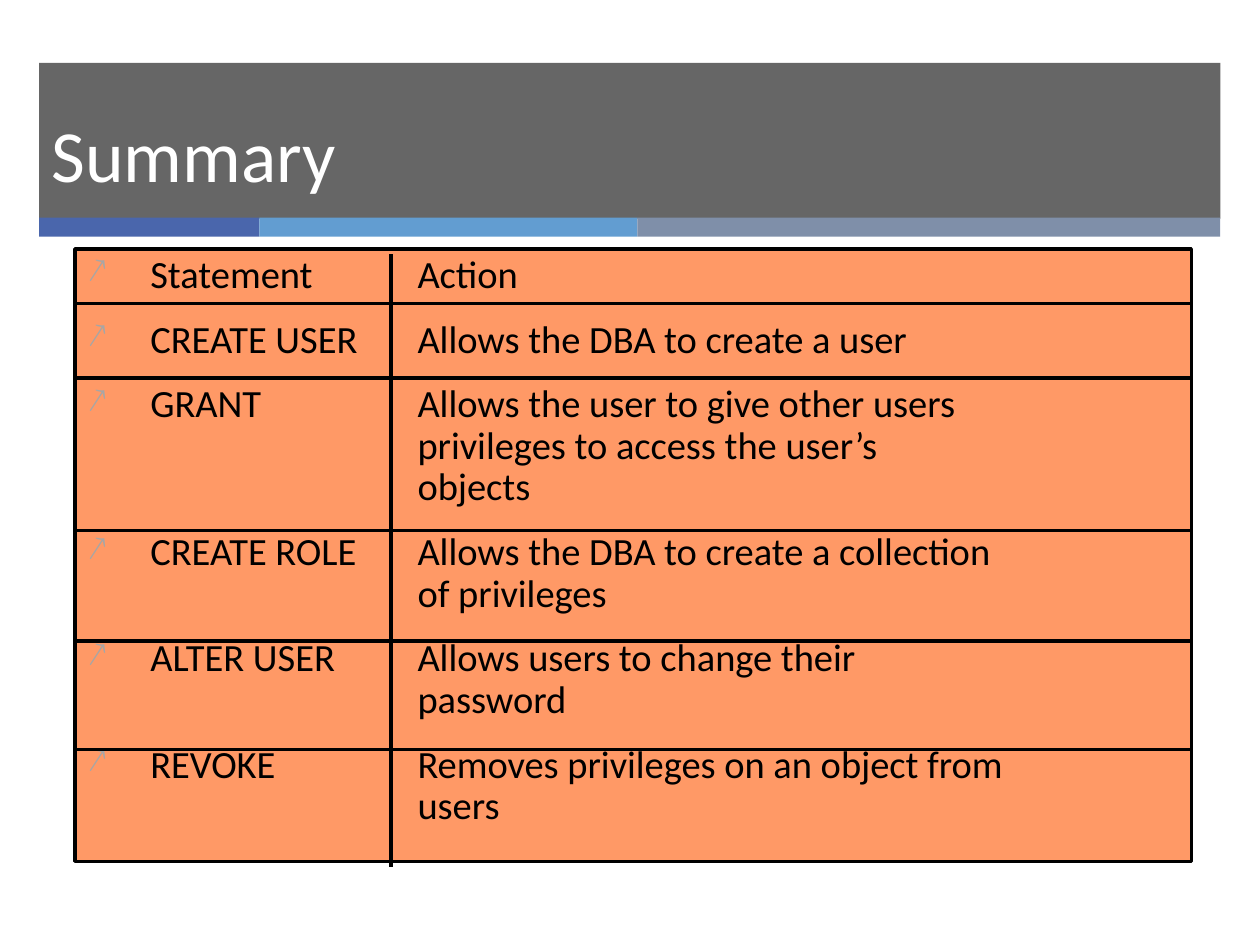
from lxml import etree
from pptx import Presentation
from pptx.dml.color import RGBColor
from pptx.enum.shapes import MSO_CONNECTOR, MSO_SHAPE
from pptx.enum.text import MSO_ANCHOR, PP_ALIGN
from pptx.oxml.ns import qn
from pptx.util import Pt

RECT = MSO_SHAPE.RECTANGLE
LINE = MSO_CONNECTOR.STRAIGHT
MIDDLE, TOP = MSO_ANCHOR.MIDDLE, MSO_ANCHOR.TOP
LEFT = PP_ALIGN.LEFT

BLACK = RGBColor(0x00, 0x00, 0x00)
WHITE = RGBColor(0xFF, 0xFF, 0xFF)
DARK = RGBColor(0x26, 0x26, 0x26)
ORANGE = RGBColor(0xFF, 0x99, 0x66)
GRAY = RGBColor(0xA6, 0xA6, 0xA6)
BLUE = RGBColor(0x4A, 0x66, 0xAC)
SKY = RGBColor(0x62, 0x9D, 0xD1)
SLATE = RGBColor(0x7F, 0x8F, 0xA9)

FONT = "Calibri"
EDGE = 22.3
WIDTH = 675
STRIPES = [(126, BLUE), (216, SKY), (333, SLATE)]
INDENT, TAB = 36, 188.64
SIZE = 22
GAP = 0.6 * SIZE

# Each action is split into the lines it is set on.
ROWS = [
    ("Statement", ["Action"]),
    ("CREATE USER", ["Allows the DBA to create a user"]),
    ("GRANT", ["Allows the user to give other users",
               "privileges to access the user’s", "objects"]),
    ("CREATE ROLE", ["Allows the DBA to create a collection",
                     "of privileges"]),
    ("ALTER USER", ["Allows users to change their", "password"]),
    ("REVOKE", ["Removes privileges on an object from", "users"]),
]
RULES = [173.5, 216, 303.1, 366.2, 428.4]


def add_rect(slide, x, y, w, h, color):
    rect = slide.shapes.add_shape(RECT, Pt(x), Pt(y), Pt(w), Pt(h))
    rect.shadow.inherit = False
    rect.fill.solid()
    rect.fill.fore_color.rgb = color
    rect.line.fill.background()
    return rect


def fade(shape, percent):
    """Set the opacity of a solid fill."""
    color = shape.fill._xPr.find(qn("a:solidFill"))[0]
    etree.SubElement(color, qn("a:alpha"), val=str(percent * 1000))


def add_rule(slide, x1, y1, x2, y2):
    rule = slide.shapes.add_connector(LINE, Pt(x1), Pt(y1), Pt(x2), Pt(y2))
    rule.line.color.rgb = BLACK
    rule.line.width = Pt(2)
    etree.SubElement(rule._element.spPr, qn("a:effectLst"))


def style(para, size, color):
    para.alignment = LEFT
    for run in para.runs:
        run.font.name = FONT
        run.font.size = Pt(size)
        run.font.color.rgb = color


def add_bullet(para):
    """Give a paragraph its arrow bullet, hanging indent and tab stop."""
    props = para._p.get_or_add_pPr()
    props.set("marL", str(Pt(INDENT)))
    props.set("indent", str(-Pt(INDENT)))
    tint = etree.SubElement(props, qn("a:buClr"))
    etree.SubElement(tint, qn("a:srgbClr"), val=str(GRAY))
    etree.SubElement(props, qn("a:buSzPct"), val="90000")
    etree.SubElement(props, qn("a:buChar"), char="↗")
    tabs = etree.SubElement(props, qn("a:tabLst"))
    etree.SubElement(tabs, qn("a:tab"), pos=str(Pt(TAB)), algn="l")


def add_header(slide):
    fade(add_rect(slide, EDGE, 36, WIDTH, 89, DARK), 70)
    x = EDGE
    for width, color in STRIPES:
        add_rect(slide, x, 124.4, width, 10.8, color)
        x += width
    title = slide.shapes.add_textbox(Pt(EDGE), Pt(49.4), Pt(WIDTH), Pt(76.3))
    frame = title.text_frame
    frame.word_wrap = True
    frame.vertical_anchor = MIDDLE
    frame.text = "Summary"
    style(frame.paragraphs[0], 42, WHITE)


def add_body(slide):
    body = add_rect(slide, 42.9, 142.3, 637.9, 349.9, ORANGE)
    body.line.color.rgb = BLACK
    body.line.width = Pt(2)
    frame = body.text_frame
    frame.word_wrap = True
    frame.vertical_anchor = TOP
    for i, (name, lines) in enumerate(ROWS):
        para = frame.add_paragraph() if i else frame.paragraphs[0]
        para.text = name + "\t" + "\v\t".join(lines)
        para.line_spacing = 0.9
        para.space_before = Pt(GAP if i else 0)
        style(para, SIZE, BLACK)
        add_bullet(para)


def main():
    deck = Presentation()
    deck.slide_width, deck.slide_height = Pt(720), Pt(540)
    slide = deck.slides.add_slide(deck.slide_layouts[6])
    add_header(slide)
    add_body(slide)
    for y in RULES:
        add_rule(slide, 42.8, y, 680.4, y)
    add_rule(slide, 223.4, 145.4, 223.4, 495.4)
    deck.save("out.pptx")


if __name__ == "__main__":
    main()
